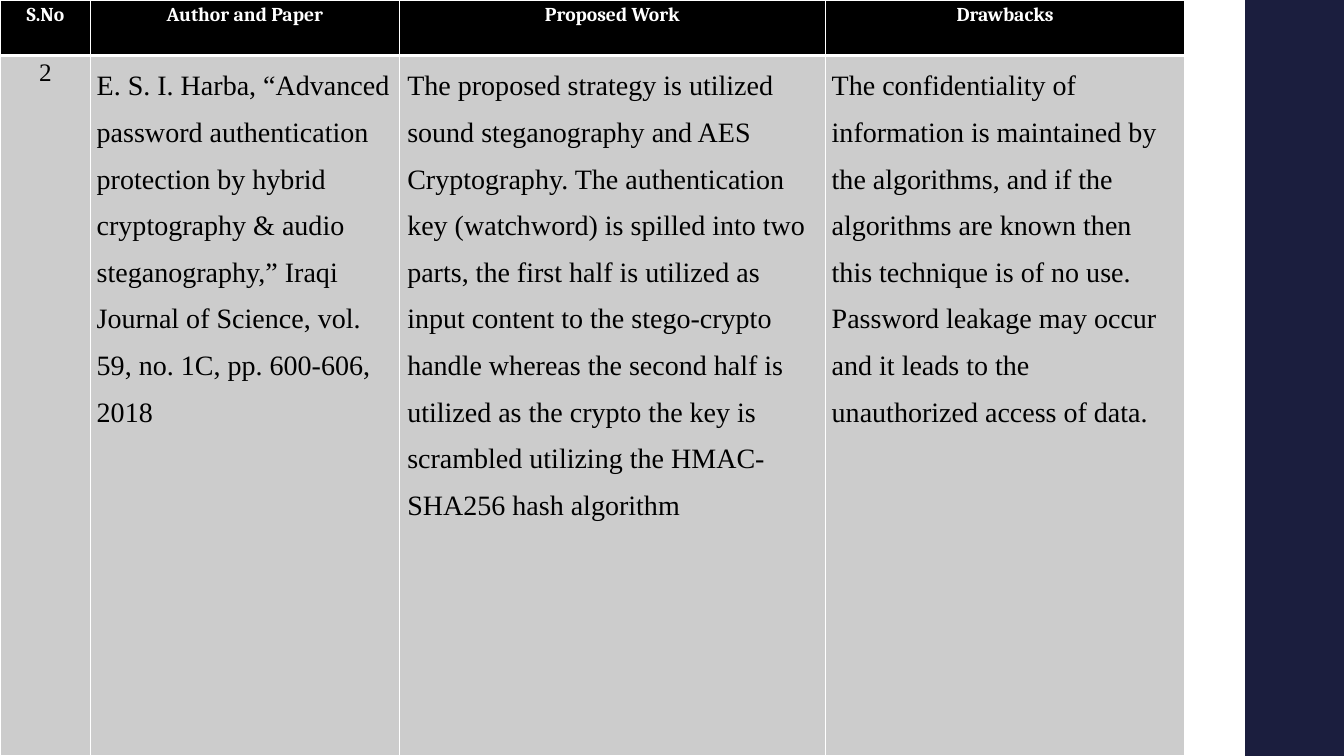
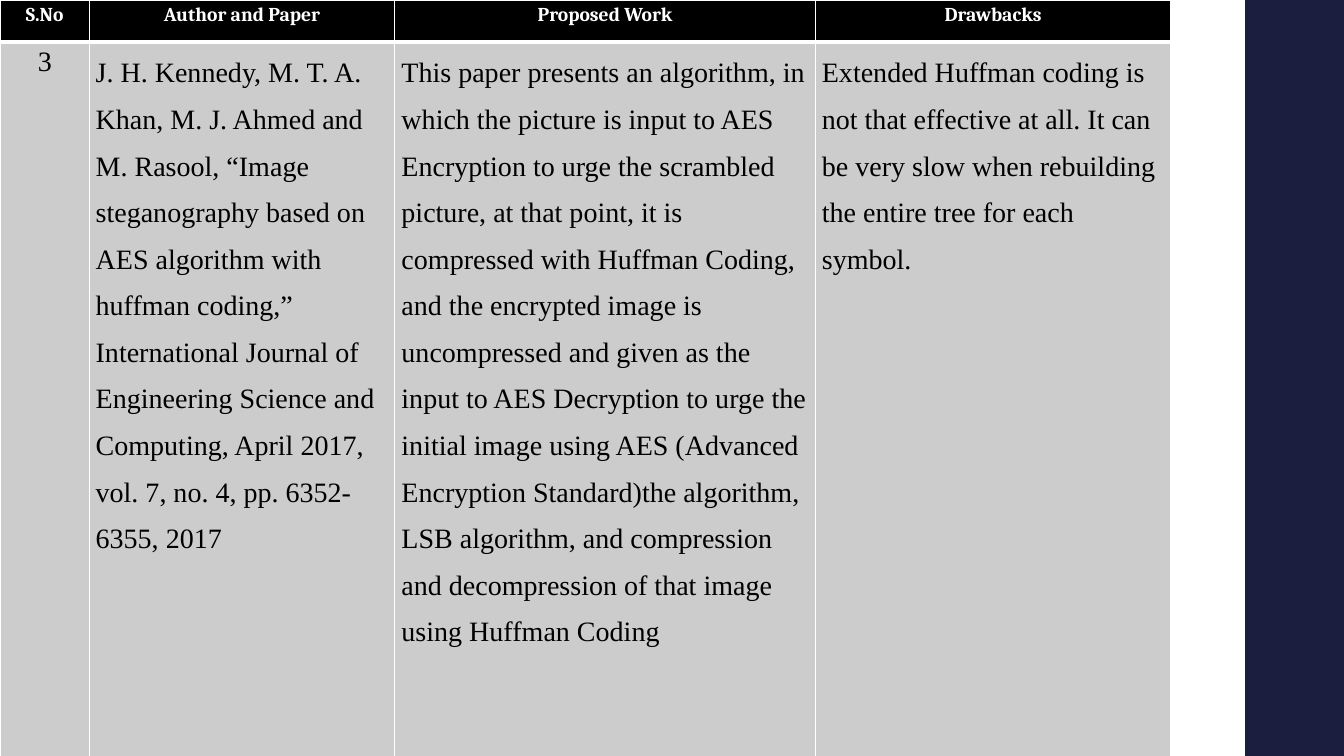
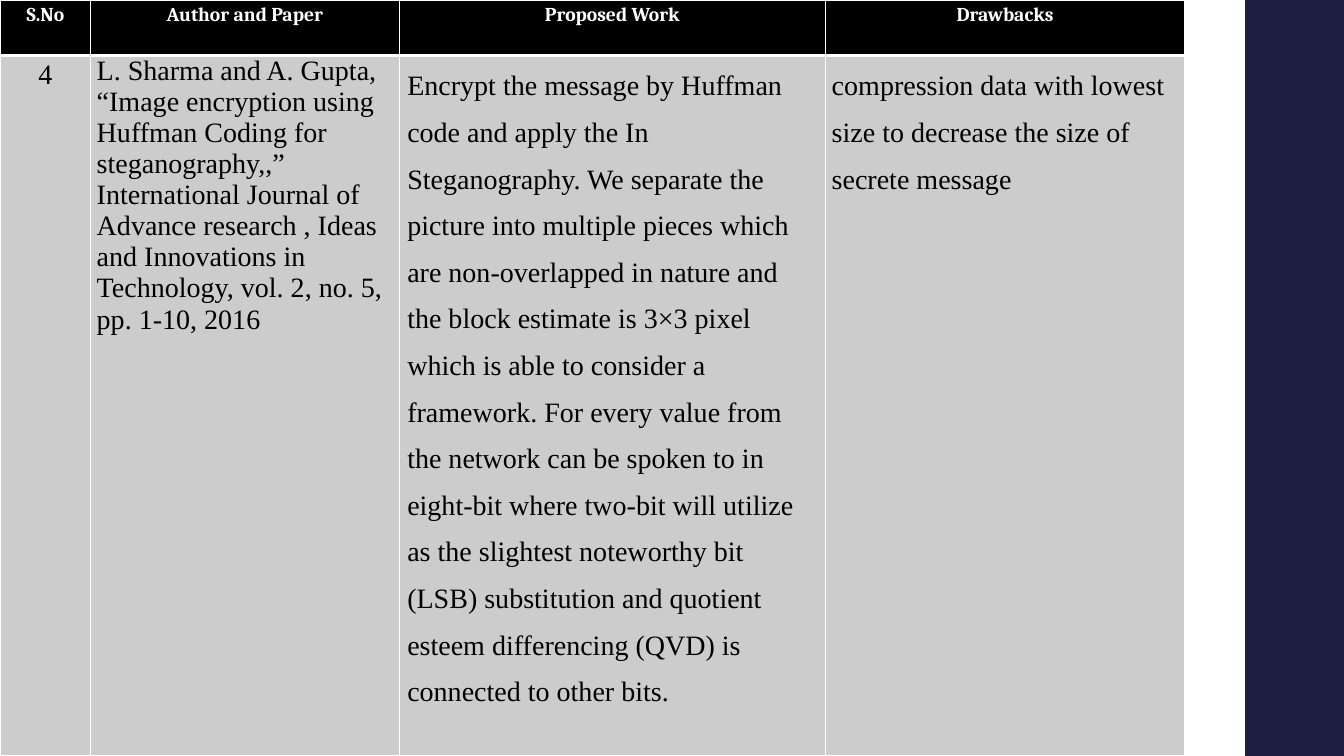
from lxml import etree
from pptx import Presentation
from pptx import util as u
from pptx.dml.color import RGBColor
from pptx.enum import shapes, text
from pptx.oxml.ns import qn

INK = {"band": "1B1E3E", "head": "000000", "body": "CCCCCC",
       "light": "FFFFFF", "dark": "000000"}
WIDE, HIGH = 13.33, 7.5
BAND = 12.35
COLS = (0.9, 3.06, 4.23, 3.56)
HEADS = ("S.No", "Author and Paper", "Proposed Work", "Drawbacks")

# width: table width, head and body: row heights, size: number size,
# lead: line spacing of the author cell, pad: side margin of the work cell
PAPERS = [
    dict(width=11.75, head=0.55, body=6.95, size=18, lead=1.5, pad=0.08, row=(
        "2",
        "E. S. I. Harba, “Advanced password authentication protection by "
        "hybrid cryptography & audio steganography,” Iraqi Journal of "
        "Science, vol. 59, no. 1C, pp. 600-606, 2018",
        "The proposed strategy is utilized sound steganography and AES "
        "Cryptography. The authentication key (watchword) is spilled into "
        "two parts, the first half is utilized as input content to the "
        "stego-crypto handle whereas the second half is utilized as the "
        "crypto the key is scrambled utilizing the HMAC-SHA256 hash "
        "algorithm",
        "The confidentiality of information is maintained by the "
        "algorithms, and if the algorithms are known then this technique is "
        "of no use. Password leakage may occur and it leads to the "
        "unauthorized access of data.")),
    dict(width=11.61, head=0.42, body=7.42, size=20, lead=1.5, pad=0.07, row=(
        "3",
        "J. H. Kennedy, M. T. A. Khan, M. J. Ahmed and M. Rasool, “Image "
        "steganography based on AES algorithm with huffman coding,” "
        "International Journal of Engineering Science and Computing, April "
        "2017, vol. 7, no. 4, pp. 6352-6355, 2017",
        "This paper presents an algorithm, in which the picture is input to "
        "AES Encryption to urge the scrambled picture, at that point, it is "
        "compressed with Huffman Coding, and the encrypted image is "
        "uncompressed and given as the input to AES Decryption to urge the "
        "initial image using AES (Advanced Encryption Standard)the "
        "algorithm, LSB algorithm, and compression and decompression of "
        "that image using Huffman Coding",
        "Extended Huffman coding is not that effective at all. It can be "
        "very slow when rebuilding the entire tree for each symbol.")),
    dict(width=11.75, head=0.55, body=6.95, size=20, lead=None, pad=0.08, row=(
        "4",
        "L. Sharma and A. Gupta, “Image encryption using Huffman Coding for "
        "steganography,,” International Journal of Advance research , Ideas "
        "and Innovations in Technology, vol. 2, no. 5, pp. 1-10, 2016",
        "Encrypt the message by Huffman code and apply the In "
        "Steganography. We separate the picture into multiple pieces which "
        "are non-overlapped in nature and the block estimate is 3×3 pixel "
        "which is able to consider a framework. For every value from the "
        "network can be spoken to in eight-bit where two-bit will utilize "
        "as the slightest noteworthy bit (LSB) substitution and quotient "
        "esteem differencing (QVD) is connected to other bits.",
        "compression data with lowest size to decrease the size of secrete "
        "message")),
]


def tint(name):
    return RGBColor.from_string(INK[name])


def edge(cell, **widths):
    """Draw light cell borders; call before the cell is filled."""
    props = cell._tc.get_or_add_tcPr()
    for side in "LRTB":
        line = etree.SubElement(props, qn("a:ln" + side),
                                w=str(u.Pt(widths.get(side, 1))))
        fill = etree.SubElement(line, qn("a:solidFill"))
        etree.SubElement(fill, qn("a:srgbClr"), val=INK["light"])


def write(cell, words, pad, font, size, color, bold=False,
          center=False, lead=None):
    cell.margin_left = cell.margin_right = u.Inches(pad[0])
    cell.margin_top = cell.margin_bottom = u.Inches(pad[1])
    para = cell.text_frame.paragraphs[0]
    para.text = words
    if center:
        para.alignment = text.PP_ALIGN.CENTER
    if lead:
        para.line_spacing, para.space_after = lead, u.Pt(8)
    face = para.runs[0].font
    face.name, face.size, face.bold = font, u.Pt(size), bold
    face.color.rgb = tint(color)


def add_band(slide, layout):
    """Draw the side band and move it to the shared layout."""
    band = slide.shapes.add_shape(
        shapes.MSO_SHAPE.RECTANGLE, u.Inches(BAND), 0,
        u.Inches(WIDE - BAND), u.Inches(HIGH))
    band.shadow.inherit = False
    band.fill.solid()
    band.fill.fore_color.rgb = tint("band")
    band.line.fill.background()
    band.element.nvSpPr.cNvPr.set("id", "20")
    layout.shapes.element.append(band.element)


def add_paper(slide, paper):
    rows = paper["head"], paper["body"]
    pads = (0.08, 0.04), (0.06, 0), (paper["pad"], 0), (0.06, 0)
    leads = None, paper["lead"], 1.5, 1.5
    grid = slide.shapes.add_table(
        2, len(COLS), 0, 0, u.Inches(paper["width"]),
        u.Inches(sum(rows))).table
    grid.horz_banding = False
    for row, tall in zip(grid.rows, rows):
        row.height = u.Inches(tall)
    for n, share in enumerate(COLS):
        grid.columns[n].width = u.Inches(paper["width"] * share / sum(COLS))
        head, body = grid.cell(0, n), grid.cell(1, n)
        edge(head, B=3)
        edge(body, T=3)
        for cell, name in ((head, "head"), (body, "body")):
            cell.fill.solid()
            cell.fill.fore_color.rgb = tint(name)
        write(head, HEADS[n], pads[0], "Cambria", 14, "light",
              bold=True, center=True)
        write(body, paper["row"][n], pads[n], "Times New Roman",
              20 if n else paper["size"], "dark", center=n == 0,
              lead=leads[n])


def main():
    deck = Presentation()
    deck.slide_width, deck.slide_height = u.Inches(WIDE), u.Inches(HIGH)
    blank = deck.slide_layouts[6]
    for n, paper in enumerate(PAPERS):
        slide = deck.slides.add_slide(blank)
        if n == 0:
            add_band(slide, blank)
        add_paper(slide, paper)
    deck.save("out.pptx")


if __name__ == "__main__":
    main()
